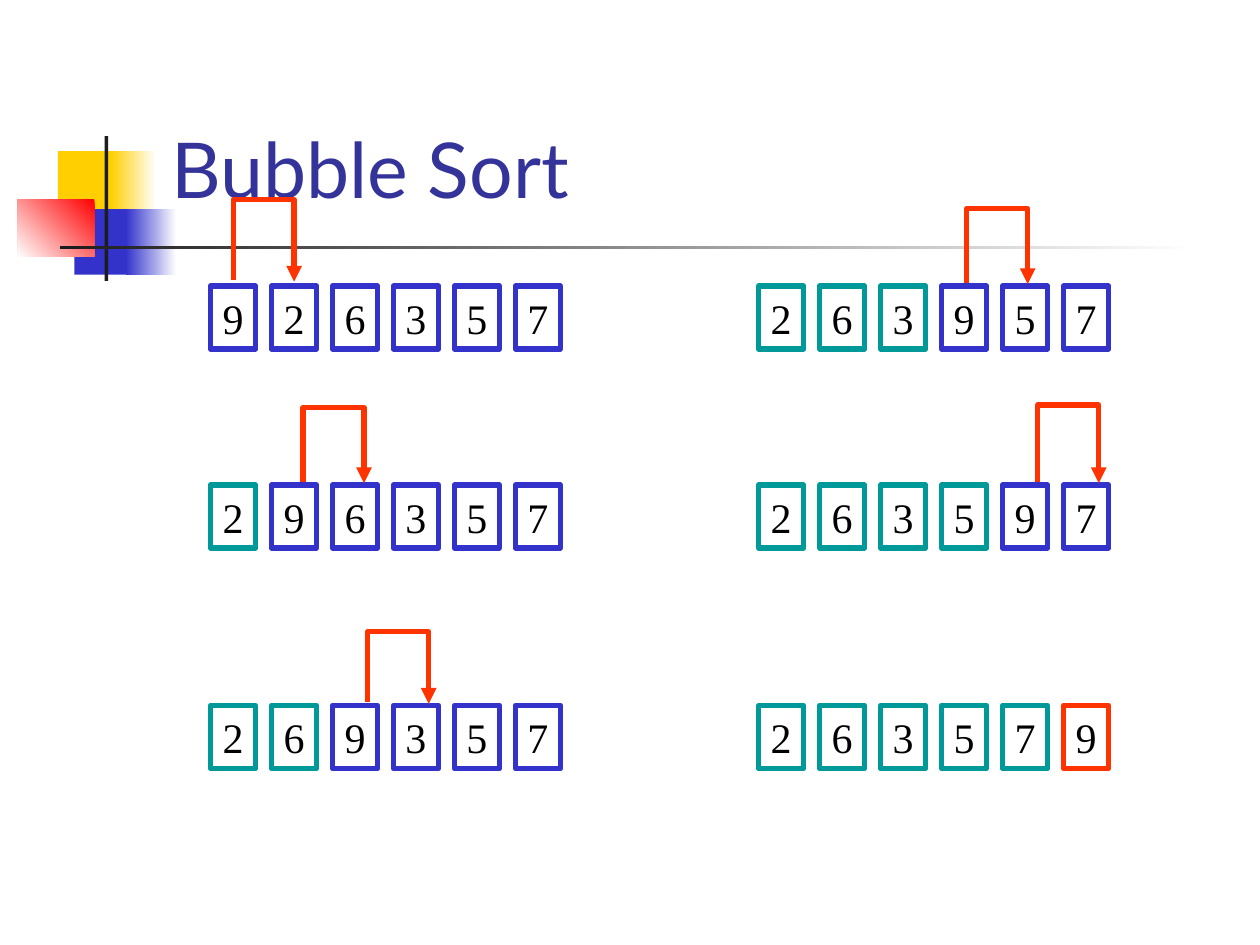
from dataclasses import dataclass

from lxml.etree import SubElement
from pptx import Presentation
from pptx.dml.color import RGBColor as Rgb
from pptx.enum.shapes import MSO_CONNECTOR as Link, MSO_SHAPE as Shape
from pptx.enum.text import MSO_ANCHOR as Anchor, PP_ALIGN as Align
from pptx.oxml.ns import qn
from pptx.util import Inches, Pt


@dataclass(frozen=True)
class Theme:
    title: str = "333399"
    pending: str = "3333CC"
    passed: str = "009999"
    accent: str = "FF3300"
    text: str = "000000"
    dark: str = "1C1C1C"
    white: str = "FFFFFF"
    yellow: str = "FFCF01"
    red: str = "FF0000"
    title_font: str = "Lato"
    number_font: str = "Times New Roman"
    title_size: int = 44
    number_size: int = 24
    stroke: int = 3


THEME = Theme()
NUMBERS = [9, 2, 6, 3, 5, 7]
ROW_TOPS = [2.27, 3.85, 5.6]
COLUMN_LEFTS = [1.67, 6.02]
ROW_WIDTH, CELL_WIDTH, CELL_HEIGHT = 2.78, 0.36, 0.5
SWAP_ARROWS = [
    (0, 0.04, 0.65),
    (0.07, 0.02, 0.6),
    (0.1, 0.02, 0.57),
    (0.02, 0.02, 0.6),
    (0.1, 0.02, 0.62),
]


def style_text(paragraph, font, size, color):
    paragraph.font.name = font
    paragraph.font.size = Pt(size)
    paragraph.font.color.rgb = Rgb.from_string(color)


def add_block(shapes, box, colors, angle=180):
    block = shapes.add_shape(Shape.RECTANGLE, *map(Inches, box))
    block.shadow.inherit = False
    block.line.fill.background()
    if len(colors) == 1:
        block.fill.solid()
        block.fill.fore_color.rgb = Rgb.from_string(colors[0])
        return
    block.fill.gradient()
    block.fill.gradient_angle = angle
    for stop, color in zip(block.fill.gradient_stops, colors):
        stop.color.rgb = Rgb.from_string(color)


def add_ornament(shapes, left, top):
    fade_yellow, fade_blue = (THEME.white, THEME.yellow), (THEME.white, THEME.pending)
    blocks = [
        ((0.32, 0.12, 0.48, 0.52), (THEME.yellow,), 0),
        ((0.74, 0.12, 0.36, 0.52), fade_yellow, 180),
        ((0.45, 0.58, 0.46, 0.52), (THEME.pending,), 0),
        ((0.86, 0.58, 0.4, 0.52), fade_blue, 180),
        ((0, 0.5, 0.61, 0.46), (THEME.red, THEME.white), 225),
        ((0.69, 0, 0.03, 1.15), (THEME.dark,), 0),
        ((0.34, 0.87, 9, 0.03), (THEME.white, THEME.dark), 180),
    ]
    for (x, y, width, height), colors, angle in blocks:
        add_block(shapes, (left + x, top + y, width, height), colors, angle)


def add_title(shapes, box, wording):
    title = shapes.add_textbox(*map(Inches, box)).text_frame
    title.word_wrap = True
    title.vertical_anchor = Anchor.BOTTOM
    title.text = wording
    style_text(title.paragraphs[0], THEME.title_font, THEME.title_size, THEME.title)


def add_number(shapes, box, number, color):
    cell = shapes.add_shape(Shape.RECTANGLE, *map(Inches, box))
    cell.shadow.inherit = False
    cell.fill.background()
    cell.line.color.rgb = Rgb.from_string(color)
    cell.line.width = Pt(THEME.stroke)
    label = cell.text_frame
    label.word_wrap = False
    label.vertical_anchor = Anchor.MIDDLE
    label.text = str(number)
    label.paragraphs[0].alignment = Align.CENTER
    style_text(label.paragraphs[0], THEME.number_font, THEME.number_size, THEME.text)


def add_swap_arrow(shapes, start, base, span, rise):
    depth = 0.01
    middle = start + span / 2
    ends = (middle + depth / 2, base - span / 2, middle - depth / 2, base + span / 2)
    arrow = shapes.add_connector(Link.ELBOW, *map(Inches, ends))
    arrow.line.color.rgb = Rgb.from_string(THEME.accent)
    arrow.line.width = Pt(THEME.stroke)
    properties = arrow._element.spPr
    properties.find(qn("a:xfrm")).set("rot", str(270 * 60000))
    bends = properties.find(qn("a:prstGeom")).find(qn("a:avLst"))
    bend = round(-rise / depth * 100000)
    SubElement(bends, qn("a:gd"), name="adj1", fmla=f"val {bend}")
    SubElement(properties.find(qn("a:ln")), qn("a:tailEnd"), type="triangle")
    SubElement(properties, qn("a:effectLst"))


def add_step(shapes, left, top, numbers, current):
    pitch = (ROW_WIDTH - CELL_WIDTH) / (len(numbers) - 1)
    row = shapes.add_group_shape().shapes
    finished = current == len(numbers) - 1
    for index, number in enumerate(numbers):
        if index < current:
            color = THEME.passed
        else:
            color = THEME.accent if finished else THEME.pending
        box = (left + index * pitch, top, CELL_WIDTH, CELL_HEIGHT)
        add_number(row, box, number, color)
    if not finished:
        shift, gap, rise = SWAP_ARROWS[current]
        start = left + current * pitch + CELL_WIDTH / 2 + shift
        add_swap_arrow(shapes, start, top - gap, pitch, rise)


def add_bubble_pass(shapes):
    numbers = list(NUMBERS)
    places = [(left, top) for left in COLUMN_LEFTS for top in ROW_TOPS]
    for current, (left, top) in enumerate(places):
        add_step(shapes, left, top, numbers, current)
        pair = numbers[current:current + 2]
        numbers[current:current + 2] = sorted(pair)


def main():
    deck = Presentation()
    deck.slide_width, deck.slide_height = Inches(10), Inches(7.5)
    shapes = deck.slides.add_slide(deck.slide_layouts[6]).shapes
    add_ornament(shapes, 0.14, 1.08)
    add_title(shapes, (1.26, 0.68, 8.52, 1.07), "Bubble Sort")
    add_bubble_pass(shapes)
    deck.save("out.pptx")


if __name__ == "__main__":
    main()
